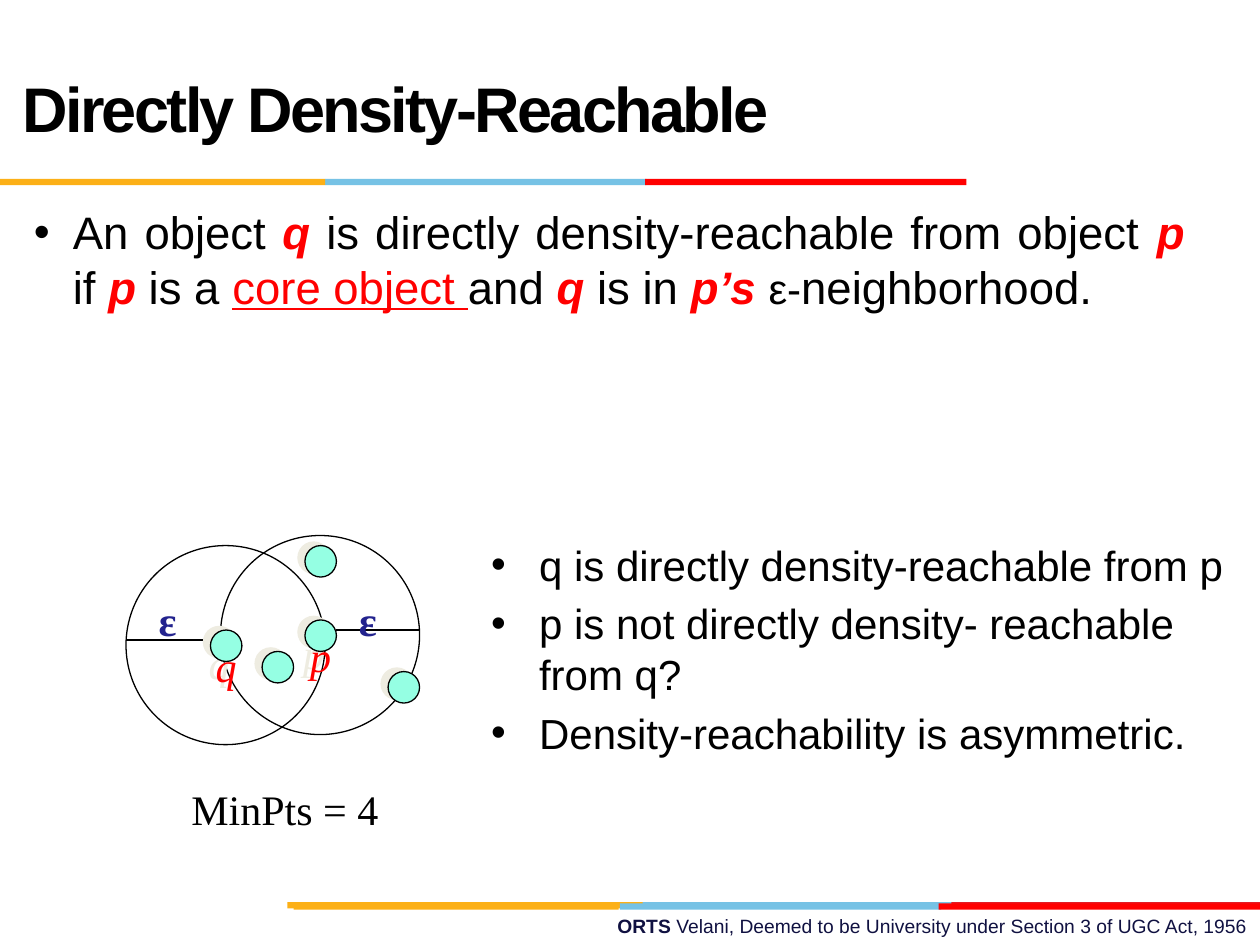
from lxml.etree import SubElement
from pptx import Presentation
from pptx.dml.color import RGBColor
from pptx.enum.shapes import MSO_CONNECTOR as Connector, MSO_SHAPE as Shape
from pptx.enum.text import MSO_ANCHOR as Anchor, PP_ALIGN as Align
from pptx.oxml.ns import qn
from pptx.util import Inches, Pt

BLACK, RED, NAVY, INK = "000000", "FF0000", "23238E", "101141"
GOLD, SKY, CRIMSON = "FCB017", "76C2E5", "E31C24"
MINT, SHADE = "95FFE3", "EEECE1"
SANS, SERIF = "Arial", "Times New Roman"


def rgb(color):
    return RGBColor.from_string(color)


def set_font(font, size, color=BLACK, name=SANS, bold=False, italic=False):
    font.size, font.name = Pt(size), name
    font.bold, font.italic = bold, italic
    font.color.rgb = rgb(color)


def add_text(shapes, left, top, width, height, wrap=True):
    box = shapes.add_textbox(*map(Inches, (left, top, width, height)))
    box.text_frame.word_wrap = wrap
    return box.text_frame


def set_bullet(paragraph, margin, indent):
    props = paragraph._p.get_or_add_pPr()
    props.set("marL", str(Inches(margin)))
    props.set("indent", str(Inches(indent)))
    SubElement(props, qn("a:buFont"), typeface=SANS)
    SubElement(props, qn("a:buChar"), char="•")


def add_stripe(slide, top, bars):
    """Coloured bars in one row, each as (left, width, colour)."""
    stripe = slide.shapes.add_group_shape().shapes
    for left, width, color in bars:
        bar = stripe.add_shape(Shape.RECTANGLE, *map(Inches, (left, top, width, 0.05)))
        bar.shadow.inherit = False
        bar.fill.solid()
        bar.fill.fore_color.rgb = rgb(color)
        bar.line.fill.background()


def add_footer(slide, left, top, width, height):
    line = add_text(slide.shapes, left, top, width, height).paragraphs[0]
    line.alignment = Align.RIGHT
    set_font(line.font, 11, INK)
    line.add_run().text = "ORTS "
    line.runs[0].font.bold = True
    line.add_run().text = "Velani, Deemed to be University under Section 3 of UGC Act, 1956"
    add_stripe(slide, top - 0.05, [(5.06, 2.55, SKY), (7.55, 2.45, CRIMSON), (2.28, 2.82, GOLD)])
    add_stripe(slide, top - 0.04, [(4.92, 2.55, SKY), (2.33, 2.58, GOLD), (7.45, 2.55, RED)])


def add_title(slide, left, top, width, height):
    add_stripe(slide, 1.42, [(2.58, 2.55, SKY), (0, 2.58, GOLD), (5.12, 2.55, RED)])
    frame = add_text(slide.shapes, left, top, width, height)
    frame.vertical_anchor = Anchor.MIDDLE
    title = frame.paragraphs[0]
    set_font(title.font, 36, bold=True)
    run = title.add_run()
    run.text = "Directly Density-Reachable"
    run.font._element.set("spc", "-150")


def add_definition(slide, left, top, width, height):
    definition = add_text(slide.shapes, left, top, width, height).paragraphs[0]
    definition.alignment = Align.JUSTIFY
    definition.level = 1
    definition.space_before = Pt(5.2)
    set_bullet(definition, 0.81, -0.31)
    # Each piece: wording, style, size
    pieces = [
        ("An object ", "plain", 26), ("q", "point", 26),
        (" is directly density-reachable from object ", "plain", 26), ("p", "point", 26),
        (" if ", "plain", 26), ("p", "point", 26), (" is a ", "plain", 26),
        ("core object ", "term", 26), ("and ", "plain", 26), ("q ", "point", 26),
        ("is in ", "plain", 26), ("p’s ", "point", 26),
        ("ε-", "plain", 24), ("neighborhood.", "plain", 26),
    ]
    for wording, style, size in pieces:
        run = definition.add_run()
        run.text = wording
        point = style == "point"
        set_font(run.font, size, BLACK if style == "plain" else RED, bold=point, italic=point)
        if style == "term":
            run.font.underline = True


def add_label(paragraph, wording, color, bold=False, italic=False):
    paragraph.text = wording
    paragraph.alignment = Align.CENTER
    set_font(paragraph.font, 24, color, SERIF, bold, italic)


def add_circle(shapes, left, top, size):
    circle = shapes.add_shape(Shape.OVAL, *map(Inches, (left, top, size, size)))
    circle.shadow.inherit = False
    circle.fill.background()
    circle.line.color.rgb = rgb(BLACK)
    circle.line.width = Pt(0.75)
    return circle


def add_point(shapes, left, top, name):
    point = add_circle(shapes, left, top, 0.25)
    point.fill.solid()
    point.fill.fore_color.rgb = rgb(MINT)
    # Hard shadow to the upper left
    effects = point._element.spPr.find(qn("a:effectLst"))
    shadow = SubElement(effects, qn("a:outerShdw"), dist=str(Pt(4.5)),
                        dir=str(207 * 60000), algn="ctr", rotWithShape="0")
    SubElement(shadow, qn("a:srgbClr"), val=SHADE)
    if name:
        frame = point.text_frame
        frame.word_wrap = False
        frame.vertical_anchor = Anchor.TOP
        add_label(frame.paragraphs[0], name, RED, italic=True)


def add_radius(shapes, start, end, y):
    radius = shapes.add_connector(Connector.STRAIGHT, *map(Inches, (start, y, end, y)))
    radius.line.color.rgb = rgb(BLACK)
    radius.line.width = Pt(0.75)
    SubElement(radius._element.spPr, qn("a:effectLst"))


def add_neighborhoods(slide, left, top):
    diagram = slide.shapes.add_group_shape().shapes
    add_radius(diagram, left, left + 0.67, top + 0.83)
    # Neighborhoods of q and p
    for dx, dy in [(0, 0.08), (0.75, 0)]:
        add_circle(diagram, left + dx, top + dy, 1.58)
    # Data points
    for dx, dy, name in [(1.42, 0.08, ""), (0.67, 0.75, "q"), (1.08, 0.92, ""),
                         (2.08, 1.08, ""), (1.42, 0.67, "p")]:
        add_point(diagram, left + dx, top + dy, name)
    add_radius(diagram, left + 1.67, left + 2.33, top + 0.75)
    # Radius labels
    for dx in (1.75, 0.16):
        frame = add_text(diagram, left + dx, top + 0.42, 0.34, 0.5, wrap=False)
        add_label(frame.paragraphs[0], "ε", NAVY, bold=True)


def add_conclusions(slide, left, top, width, height):
    frame = add_text(slide.shapes, left, top, width, height)
    conclusions = [
        "q is directly density-reachable from p",
        "p is not directly density- reachable from q?",
        "Density-reachability is asymmetric.",
    ]
    for i, wording in enumerate(conclusions):
        item = frame.add_paragraph() if i else frame.paragraphs[0]
        item.text = wording
        item.space_before = Pt(4.8)
        set_font(item.font, 24)
        set_bullet(item, 0.38, -0.38)


def add_caption(slide, left, top, width, height):
    caption = add_text(slide.shapes, left, top, width, height).paragraphs[0]
    caption.text = "MinPts = 4"
    set_font(caption.font, 24, name=SERIF)


def main():
    deck = Presentation()
    deck.slide_width, deck.slide_height = Inches(10), Inches(7.5)
    slide = deck.slides.add_slide(deck.slide_layouts[6])
    add_footer(slide, 3.58, 7.21, 6.42, 0.29)
    add_title(slide, 0.08, 0.23, 8.5, 1.25)
    add_definition(slide, -0.33, 1.57, 9.83, 2.08)
    add_neighborhoods(slide, 1, 4.25)
    add_conclusions(slide, 3.8, 4.23, 6.08, 2.08)
    add_caption(slide, 1.42, 6.17, 3.17, 0.5)
    deck.save("out.pptx")


if __name__ == "__main__":
    main()
